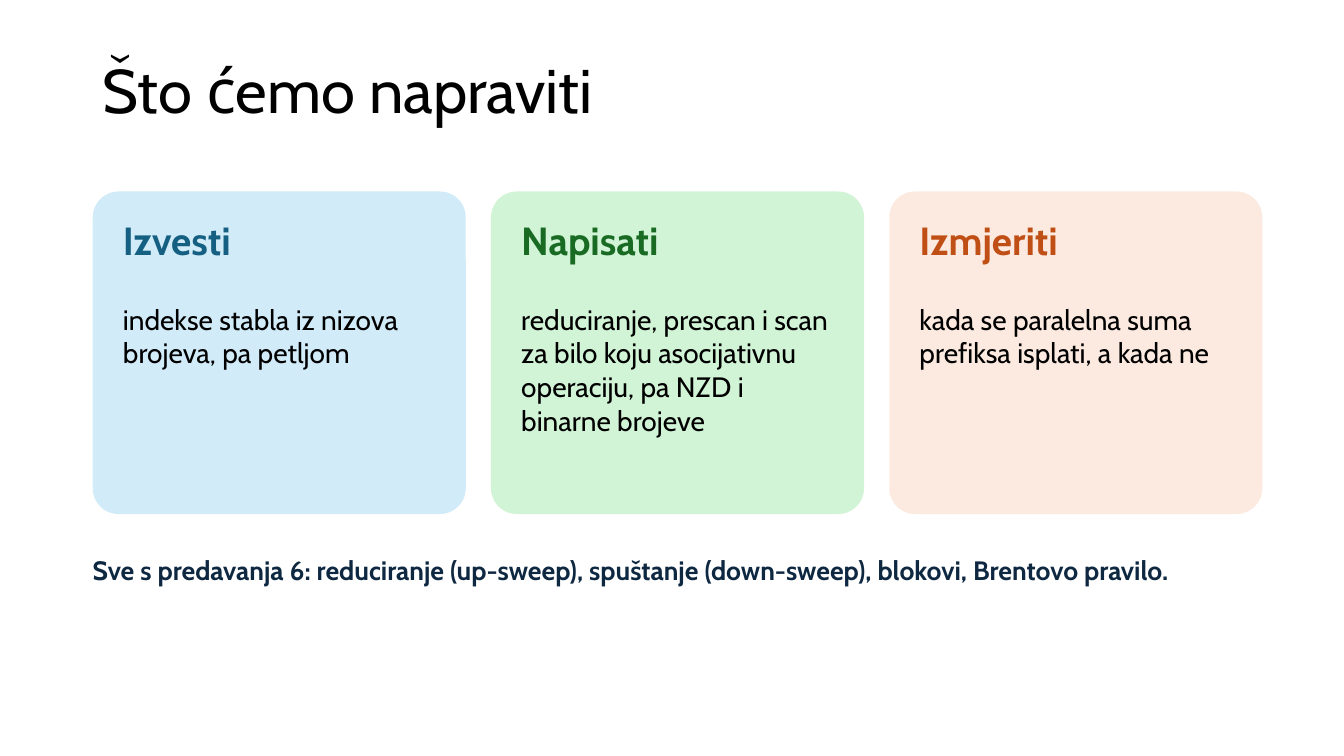
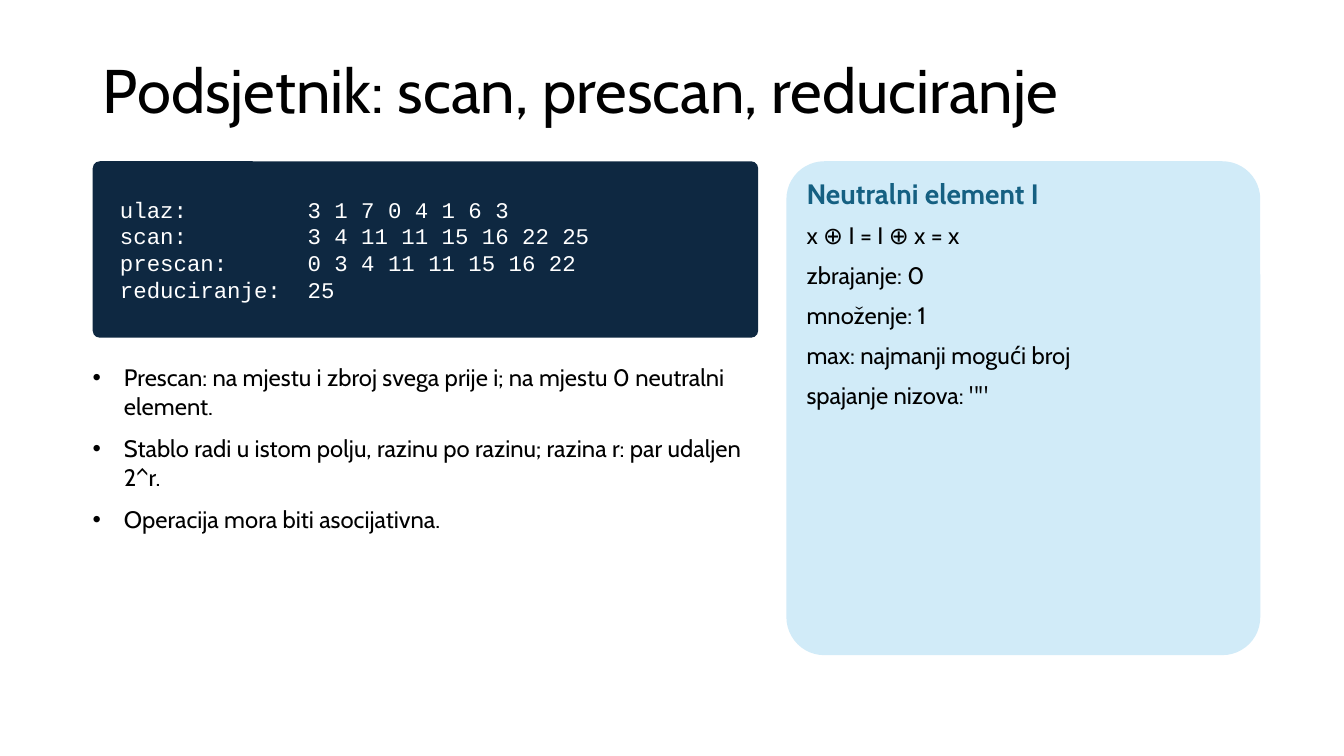
import dataclasses

import pptx
import pptx.dml.color
import pptx.enum.shapes
import pptx.enum.text
import pptx.util
from lxml import etree

COLORS = {
    "white": "FFFFFF",
    "black": "000000",
    "navy": "0E2841",
    "blue": "156082",
    "pale blue": "D1EBF8",
    "green": "196B24",
    "pale green": "D1F4D6",
    "orange": "C04F15",
    "pale orange": "FCEAE0",
}
TEXT_FONT = "Cabin"
CODE_FONT = "Courier New"
SLIDE_WIDTH, SLIDE_HEIGHT = 13.33, 7.5
MARGIN = 0.92
DRAWING = "{http://schemas.openxmlformats.org/drawingml/2006/main}"


@dataclasses.dataclass
class Box:
    """A rectangle in inches."""
    left: float
    top: float
    width: float
    height: float

    def inset(self, x, y):
        return Box(self.left + x, self.top + y, self.width - 2 * x, self.height - 2 * y)

    def band(self, offset, height):
        """A full-width band that starts at offset below the top of the box."""
        return Box(self.left, self.top + offset, self.width, height)

    def split_columns(self, count, gap):
        width = (self.width - gap * (count - 1)) / count
        return [Box(self.left + index * (width + gap), self.top, width, self.height)
                for index in range(count)]

    def emu(self):
        return [pptx.util.Inches(value) for value in dataclasses.astuple(self)]


TITLE = Box(MARGIN, 0.4, 11.5, 1.06)


def rgb(color):
    return pptx.dml.color.RGBColor.from_string(COLORS[color])


def add_run(paragraph, text, size, color="black", bold=False, font=TEXT_FONT):
    run = paragraph.add_run()
    run.text = text
    run.font.name = font
    run.font.size = pptx.util.Pt(size)
    run.font.bold = bold
    run.font.color.rgb = rgb(color)


def next_paragraph(frame, index):
    return frame.paragraphs[0] if index == 0 else frame.add_paragraph()


def set_margins(frame, left, top, right, bottom):
    frame.margin_left, frame.margin_top, frame.margin_right, frame.margin_bottom = (
        pptx.util.Inches(value) for value in (left, top, right, bottom))


def add_text_frame(slide, box):
    frame = slide.shapes.add_textbox(*box.emu()).text_frame
    frame.word_wrap = True
    set_margins(frame, 0, 0, 0, 0)
    return frame


def add_label(slide, box, text, size, color="black", bold=False):
    frame = add_text_frame(slide, box)
    add_run(frame.paragraphs[0], text, size, color, bold)


def add_panel(slide, box, fill, rounding=0.08):
    panel = slide.shapes.add_shape(
        pptx.enum.shapes.MSO_SHAPE.ROUNDED_RECTANGLE, *box.emu())
    panel.adjustments[0] = rounding
    panel.shadow.inherit = False
    panel.fill.solid()
    panel.fill.fore_color.rgb = rgb(fill)
    panel.line.fill.background()
    return panel


def add_titled_slide(presentation, text):
    slide = presentation.slides.add_slide(presentation.slide_layouts[5])
    title = slide.shapes.title
    title.left, title.top, title.width, title.height = TITLE.emu()
    frame = title.text_frame
    frame.word_wrap = True
    frame.auto_size = pptx.enum.text.MSO_AUTO_SIZE.NONE
    frame.vertical_anchor = pptx.enum.text.MSO_ANCHOR.MIDDLE
    paragraph = frame.paragraphs[0]
    paragraph.alignment = pptx.enum.text.PP_ALIGN.LEFT
    paragraph.line_spacing = 0.9
    add_run(paragraph, text, 44)
    return slide


def add_card(slide, box, heading, text, color):
    add_panel(slide, box, "pale " + color)
    content = box.inset(0.3, 0.25)
    add_label(slide, content.band(0, 0.6), heading, 28, color, bold=True)
    add_label(slide, content.band(0.85, 1.9), text, 20)


def add_code(slide, box, lines):
    panel = add_panel(slide, box, "navy", rounding=0.04)
    frame = panel.text_frame
    frame.word_wrap = True
    frame.vertical_anchor = pptx.enum.text.MSO_ANCHOR.MIDDLE
    set_margins(frame, 0.25, 0.05, 0.1, 0.05)
    for index, line in enumerate(lines):
        paragraph = next_paragraph(frame, index)
        paragraph.alignment = pptx.enum.text.PP_ALIGN.LEFT
        add_run(paragraph, line, 16, "white", font=CODE_FONT)


def add_bullets(slide, box, items):
    frame = add_text_frame(slide, box)
    indent = pptx.util.Inches(0.31)
    for index, item in enumerate(items):
        paragraph = next_paragraph(frame, index)
        paragraph.space_after = pptx.util.Pt(10)
        properties = paragraph._p.get_or_add_pPr()
        properties.set("marL", str(indent))
        properties.set("indent", str(-indent))
        etree.SubElement(properties, DRAWING + "buFont", typeface="Arial")
        etree.SubElement(properties, DRAWING + "buChar", char="•")
        add_run(paragraph, item, 17)


def add_fact_panel(slide, box, heading, facts):
    add_panel(slide, box, "pale blue")
    frame = add_text_frame(slide, box.inset(0.2, 0.15))
    add_run(frame.paragraphs[0], heading, 20, "blue", bold=True)
    for fact in facts:
        add_run(frame.add_paragraph(), fact, 17)
    for paragraph in frame.paragraphs:
        paragraph.space_after = pptx.util.Pt(8)


def build_goals_slide(presentation):
    slide = add_titled_slide(presentation, "Što ćemo napraviti")
    cards = [
        ("Izvesti", "indekse stabla iz nizova brojeva, pa petljom", "blue"),
        ("Napisati", "reduciranje, prescan i scan za bilo koju asocijativnu "
                     "operaciju, pa NZD i binarne brojeve", "green"),
        ("Izmjeriti", "kada se paralelna suma prefiksa isplati, a kada ne", "orange"),
    ]
    body = Box(MARGIN, 1.9, 11.6, 3.2)
    for box, card in zip(body.split_columns(len(cards), 0.25), cards):
        add_card(slide, box, *card)
    add_label(slide, body.band(3.6, 0.9),
              "Sve s predavanja 6: reduciranje (up-sweep), spuštanje (down-sweep), "
              "blokovi, Brentovo pravilo.", 19, "navy", bold=True)


def build_reminder_slide(presentation):
    slide = add_titled_slide(presentation, "Podsjetnik: scan, prescan, reduciranje")
    main_column = Box(MARGIN, 1.6, 6.6, 5)
    add_code(slide, main_column.band(0, 1.75), [
        "ulaz:         3 1 7 0 4 1 6 3",
        "scan:         3 4 11 11 15 16 22 25",
        "prescan:      0 3 4 11 11 15 16 22",
        "reduciranje:  25",
    ])
    add_bullets(slide, main_column.band(2, 3), [
        "Prescan: na mjestu i zbroj svega prije i; na mjestu 0 neutralni element.",
        "Stablo radi u istom polju, razinu po razinu; razina r: par udaljen 2^r.",
        "Operacija mora biti asocijativna.",
    ])
    add_fact_panel(slide, Box(7.8, main_column.top, 4.7, 4.9), "Neutralni element I", [
        "x ⊕ I = I ⊕ x = x",
        "zbrajanje: 0",
        "množenje: 1",
        "max: najmanji mogući broj",
        'spajanje nizova: ""',
    ])


def main():
    presentation = pptx.Presentation()
    presentation.slide_width = pptx.util.Inches(SLIDE_WIDTH)
    presentation.slide_height = pptx.util.Inches(SLIDE_HEIGHT)
    build_goals_slide(presentation)
    build_reminder_slide(presentation)
    presentation.save("out.pptx")


if __name__ == "__main__":
    main()
